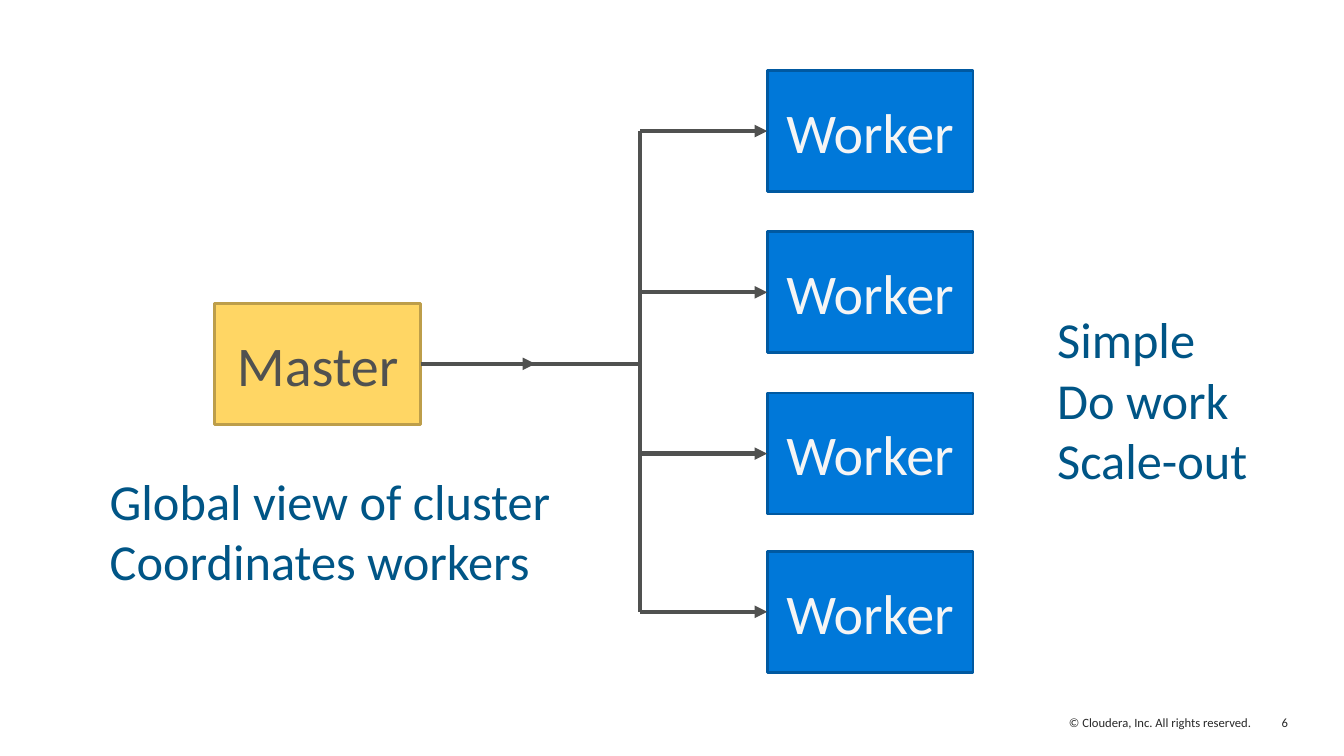
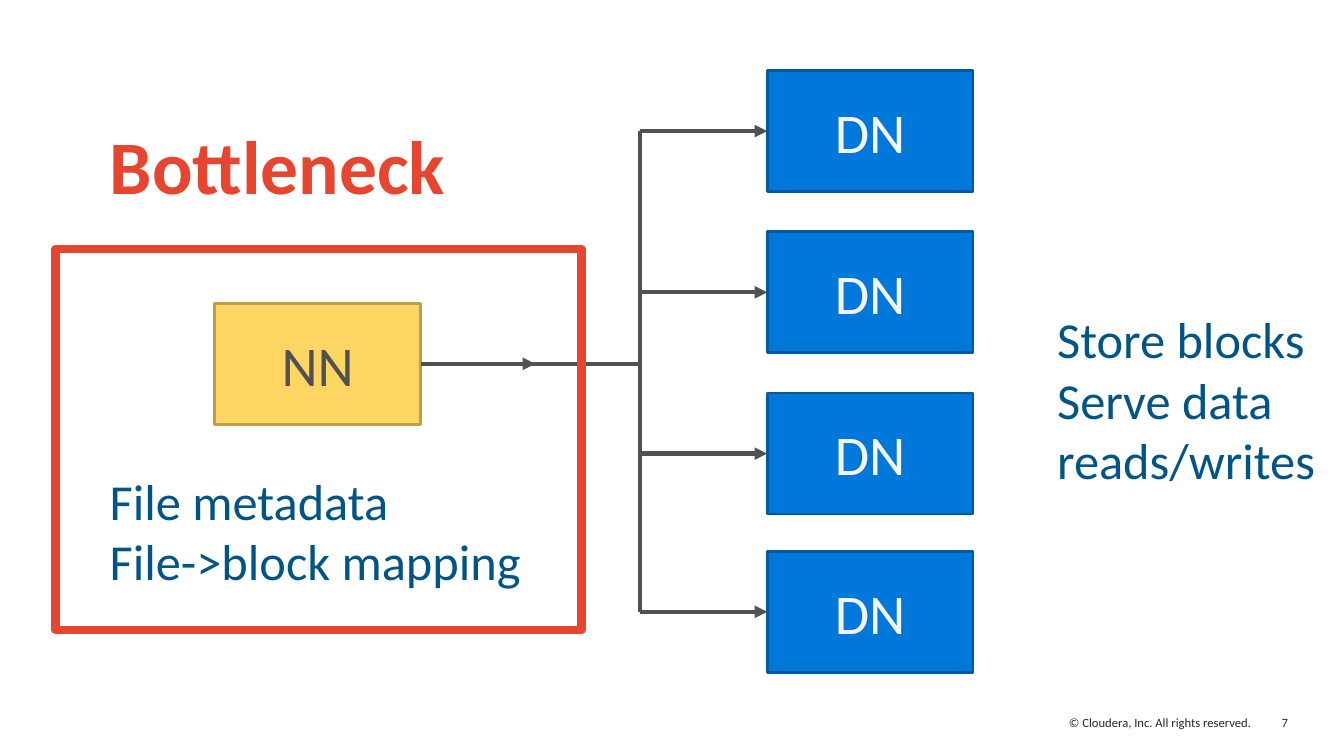
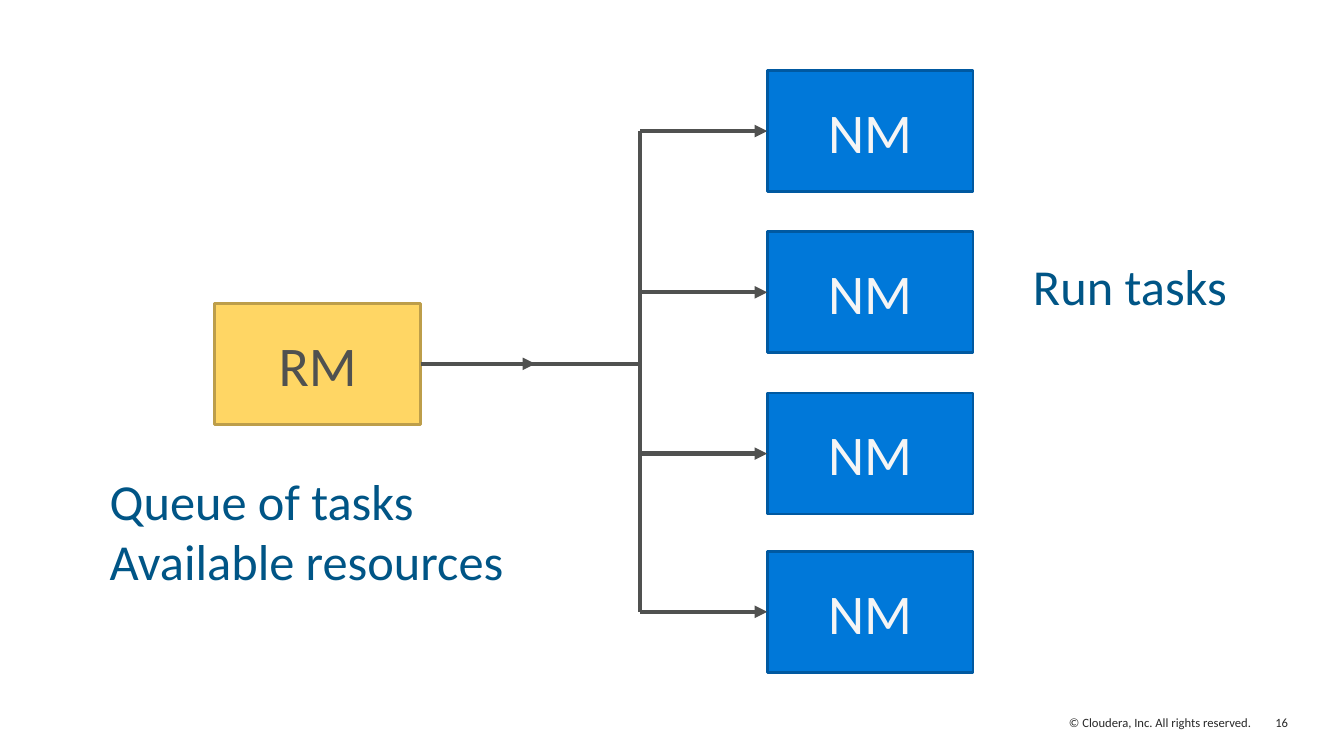
from dataclasses import dataclass
from typing import Optional

import lxml.etree
import pptx
import pptx.dml.color
import pptx.enum.shapes
import pptx.enum.text
import pptx.oxml.ns
import pptx.util

Pt = pptx.util.Pt
ALIGN = pptx.enum.text.PP_ALIGN
ANCHOR = pptx.enum.text.MSO_ANCHOR


@dataclass(frozen=True)
class Theme:
    font: str = "Calibri"
    master_fill: str = "FFD664"
    master_line: str = "BD9E4A"
    worker_fill: str = "0078D9"
    worker_line: str = "0059A1"
    worker_text: str = "F5F5F5"
    grey: str = "505150"
    note: str = "005586"
    alert: str = "E64630"
    footer: str = "282828"
    footer_size: float = 9
    note_size: float = 36
    node_size: float = 40
    alert_size: float = 54


@dataclass(frozen=True)
class Area:
    left: float
    top: float
    width: float
    height: float


@dataclass(frozen=True)
class ClusterPage:
    number: str
    master: str
    worker: str
    master_notes: tuple[str, ...]
    worker_notes: tuple[str, ...]
    worker_notes_at: tuple[float, float]
    alert: Optional[str] = None


THEME = Theme()
PAGE_WIDTH, PAGE_HEIGHT = 960, 540
NODE_WIDTH, NODE_HEIGHT = 147, 86.4
MASTER = Area(153.4, 216.7, NODE_WIDTH, NODE_HEIGHT)
WORKERS = [Area(548, top, NODE_WIDTH, NODE_HEIGHT) for top in (50.4, 165.6, 280.8, 393.8)]
TRUNK_X, FEED_ARROW_X = 457.2, 382.3
NOTES_LEFT, NOTES_WIDTH = 71.3, 367.2
NOTE_LINE, NOTE_PADDING = 43.5, 7.2
COPYRIGHT = "© Cloudera, Inc. All rights reserved."

PAGES = [
    ClusterPage("6", "Master", "Worker", ("Global view of cluster", "Coordinates workers"),
                ("Simple", "Do work", "Scale-out"), (748, 216.7)),
    ClusterPage("7", "NN", "DN", ("File metadata", "File->block mapping"),
                ("Store blocks", "Serve data reads/writes"), (748, 216.7), alert="Bottleneck"),
    ClusterPage("16", "RM", "NM", ("Queue of tasks", "Available resources"),
                ("Run tasks",), (730.8, 178.6)),
]


def color(value: str) -> pptx.dml.color.RGBColor:
    return pptx.dml.color.RGBColor.from_string(value)


def lengths(area: Area) -> tuple:
    return Pt(area.left), Pt(area.top), Pt(area.width), Pt(area.height)


def write(box, *lines: str, size: float, ink: str, bold: bool = False,
          align=ALIGN.LEFT, anchor=ANCHOR.TOP) -> None:
    frame = box.text_frame
    frame.word_wrap = True
    frame.vertical_anchor = anchor
    for index, line in enumerate(lines):
        para = frame.add_paragraph() if index else frame.paragraphs[0]
        para.alignment = align
        span = para.add_run()
        span.text = line
        span.font.name = THEME.font
        span.font.size = Pt(size)
        span.font.bold = bold
        span.font.color.rgb = color(ink)


def add_text(page, area: Area, *lines: str, inset: bool = True, **style):
    box = page.shapes.add_textbox(*lengths(area))
    if not inset:
        frame = box.text_frame
        frame.margin_left = frame.margin_right = frame.margin_top = frame.margin_bottom = 0
    write(box, *lines, **style)
    return box


def add_rectangle(page, area: Area, line: str, weight: float, fill: Optional[str] = None):
    box = page.shapes.add_shape(pptx.enum.shapes.MSO_SHAPE.RECTANGLE, *lengths(area))
    box.shadow.inherit = False
    if fill:
        box.fill.solid()
        box.fill.fore_color.rgb = color(fill)
    else:
        box.fill.background()
    box.line.color.rgb = color(line)
    box.line.width = Pt(weight)
    return box


def add_node(page, area: Area, label: str, fill: str, line: str, ink: str):
    box = add_rectangle(page, area, line, 2, fill)
    write(box, label, size=THEME.node_size, ink=ink, align=ALIGN.CENTER, anchor=ANCHOR.MIDDLE)
    return box


def add_line(page, x1: float, y1: float, x2: float, y2: float, arrow: bool = False):
    line = page.shapes.add_connector(pptx.enum.shapes.MSO_CONNECTOR.STRAIGHT,
                                     Pt(x1), Pt(y1), Pt(x2), Pt(y2))
    line.line.color.rgb = color(THEME.grey)
    line.line.width = Pt(3)
    if arrow:
        outline = line.line._get_or_add_ln()
        lxml.etree.SubElement(outline, pptx.oxml.ns.qn("a:tailEnd"), type="triangle")
    lxml.etree.SubElement(line._element.spPr, pptx.oxml.ns.qn("a:effectLst"))
    return line


def middle(area: Area) -> float:
    return area.top + area.height / 2


def add_footer(page, number: str) -> None:
    for area, text in ((Area(893.5, 508.3, 26.6, 15.8), number),
                       (Area(589.7, 508.3, 303.8, 15.8), COPYRIGHT)):
        add_text(page, area, text, inset=False, size=THEME.footer_size, ink=THEME.footer,
                 align=ALIGN.RIGHT, anchor=ANCHOR.MIDDLE)


def add_cluster(page, master_label: str, worker_label: str) -> None:
    master = add_node(page, MASTER, master_label, THEME.master_fill, THEME.master_line, THEME.grey)
    workers = [add_node(page, area, worker_label, THEME.worker_fill, THEME.worker_line,
                        THEME.worker_text) for area in WORKERS]

    # Trunk and a branch to each worker
    for area, worker in zip(WORKERS, workers):
        branch = add_line(page, TRUNK_X, middle(area), area.left, middle(area), arrow=True)
        branch.end_connect(worker, 1)
    add_line(page, TRUNK_X, middle(WORKERS[0]), TRUNK_X, middle(WORKERS[-1]))

    # Feed from the master, with its arrowhead halfway
    level = middle(MASTER)
    feed = add_line(page, MASTER.left + MASTER.width, level, FEED_ARROW_X, level, arrow=True)
    feed.begin_connect(master, 3)
    add_line(page, FEED_ARROW_X - 6, level, TRUNK_X - 1.4, level)


def add_notes(page, left: float, top: float, width: float, lines: tuple[str, ...]) -> None:
    area = Area(left, top, width, NOTE_PADDING + NOTE_LINE * len(lines))
    add_text(page, area, *lines, size=THEME.note_size, ink=THEME.note)


def add_alert(page, text: str) -> None:
    add_rectangle(page, Area(39.6, 177.8, 375.8, 272.2), THEME.alert, 6)
    add_text(page, Area(NOTES_LEFT, 81.4, NOTES_WIDTH, 72.7), text,
             size=THEME.alert_size, ink=THEME.alert, bold=True)


def main() -> None:
    deck = pptx.Presentation()
    deck.slide_width, deck.slide_height = Pt(PAGE_WIDTH), Pt(PAGE_HEIGHT)
    for content in PAGES:
        page = deck.slides.add_slide(deck.slide_layouts[6])
        add_footer(page, content.number)
        add_cluster(page, content.master, content.worker)
        add_notes(page, NOTES_LEFT, 331.9, NOTES_WIDTH, content.master_notes)
        left, top = content.worker_notes_at
        add_notes(page, left, top, PAGE_WIDTH - left, content.worker_notes)
        if content.alert:
            add_alert(page, content.alert)
    deck.save("out.pptx")


if __name__ == "__main__":
    main()
